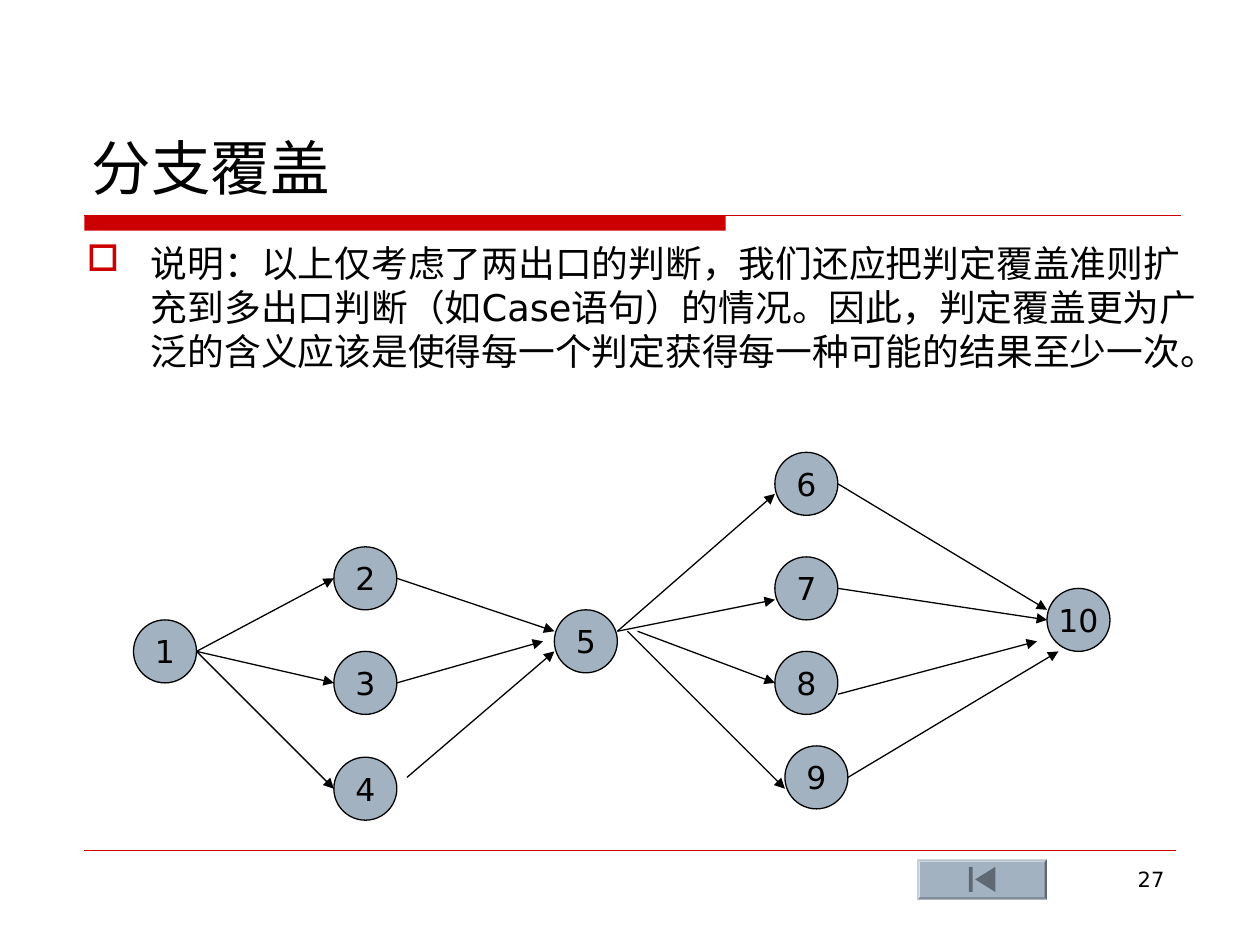
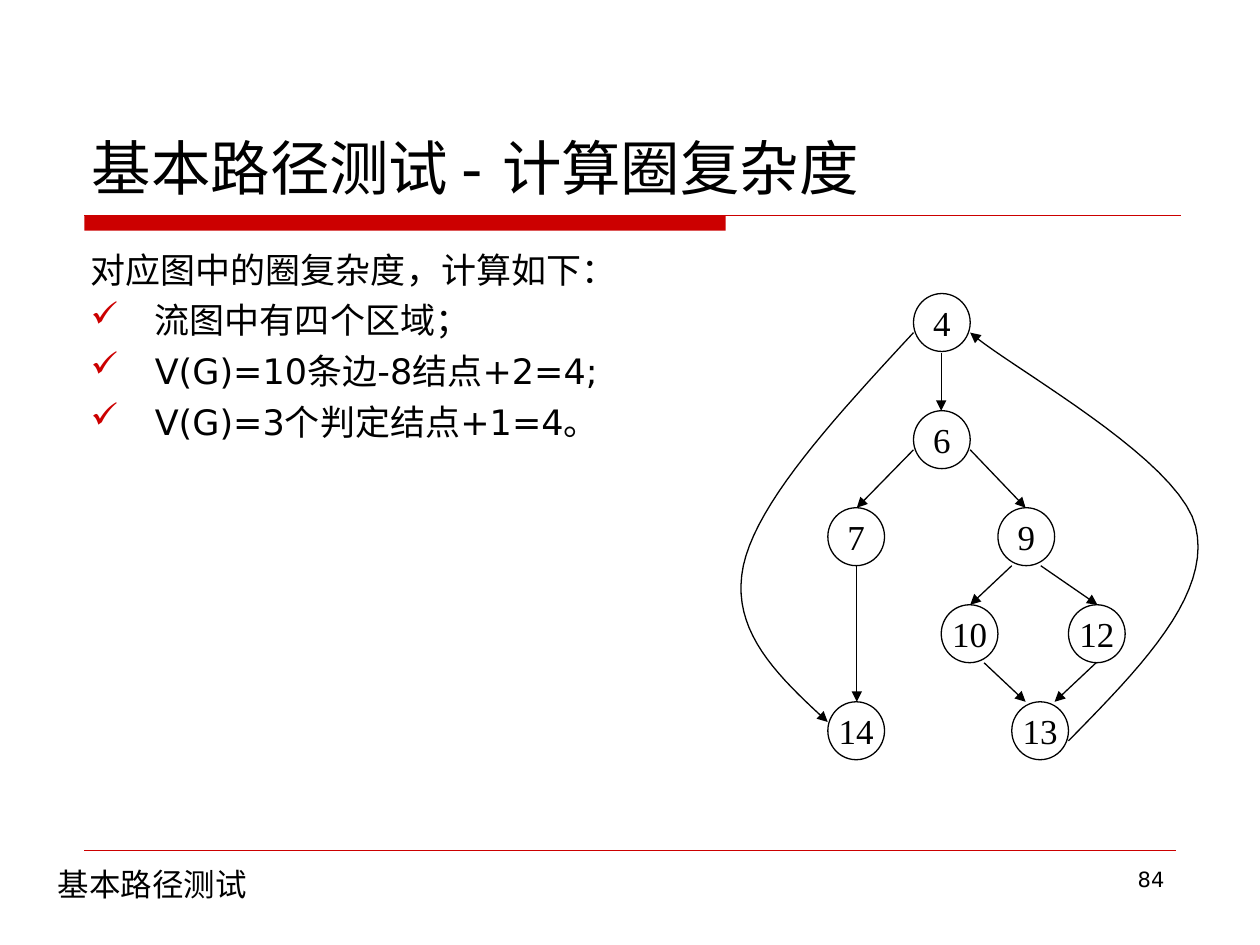
from dataclasses import dataclass

from lxml import etree
from pptx import Presentation
from pptx import util as u
from pptx.dml.color import RGBColor
from pptx.enum import shapes, text
from pptx.oxml.ns import qn


@dataclass(frozen=True)
class Theme:
    accent: str = "CC0000"
    ink: str = "000000"
    node: str = "A3B2C1"
    glyph: str = "5E6974"
    sans: str = "DejaVu Sans"
    serif: str = "Times New Roman"
    title: int = 34
    statement: int = 21
    body: int = 20
    label: int = 18
    number: int = 12
    stroke: float = 0.75
    hairline: float = 0.25


THEME = Theme()
INDENT = 0.51


def add_bullet(paragraph, symbol):
    properties = paragraph._p.get_or_add_pPr()
    color = etree.SubElement(properties, qn("a:buClr"))
    etree.SubElement(color, qn("a:srgbClr"), val=THEME.accent)
    etree.SubElement(properties, qn("a:buChar"), char=symbol)


def write_text(paragraph, content, *, size, font=THEME.sans, align=None,
               bullet=None, indent=0, before=0, after=0):
    if indent:
        properties = paragraph._p.get_or_add_pPr()
        properties.set("marL", str(u.Inches(indent)))
        properties.set("indent", str(-u.Inches(indent)))
    if bullet:
        add_bullet(paragraph, bullet)
    paragraph.alignment = align
    paragraph.space_before = u.Pt(before)
    paragraph.space_after = u.Pt(after)
    run = paragraph.add_run()
    run.text = content
    run.font.size = u.Pt(size)
    run.font.name = font
    run.font.color.rgb = RGBColor.from_string(THEME.ink)


def curve_points(start, control_a, control_b, end, steps=20):
    for step in range(steps + 1):
        t = step / steps
        weights = ((1 - t) ** 3, 3 * t * (1 - t) ** 2, 3 * t * t * (1 - t), t ** 3)
        corners = (start, control_a, control_b, end)
        yield tuple(sum(w * corner[axis] for w, corner in zip(weights, corners))
                    for axis in (0, 1))


class SlideBuilder:
    def __init__(self, presentation, theme):
        self.presentation = presentation
        self.theme = theme
        self.slide = None

    def start(self, title, number):
        self.slide = self.presentation.slides.add_slide(
            self.presentation.slide_layouts[6])
        accent = self.theme.accent
        self.shape(shapes.MSO_SHAPE.RECTANGLE, 0.67, 1.71, 5.09, 0.12, fill=accent)
        self.line((0.67, 1.71), (9.37, 1.71), color=accent)
        self.line((0.67, 6.75), (9.33, 6.75), color=accent, width=self.theme.hairline)
        self.text_box(0.63, 0.33, 8.75, 1.33, [(title, {})], size=self.theme.title,
                      anchor=text.MSO_ANCHOR.BOTTOM)
        self.text_box(7.17, 6.83, 2.17, 0.52, [(number, {})], size=self.theme.number,
                      align=text.PP_ALIGN.RIGHT)

    def text_box(self, left, top, width, height, paragraphs,
                 anchor=text.MSO_ANCHOR.TOP, **style):
        box = self.slide.shapes.add_textbox(
            *map(u.Inches, (left, top, width, height)))
        frame = box.text_frame
        frame.word_wrap = True
        frame.vertical_anchor = anchor
        for index, (content, extra) in enumerate(paragraphs):
            paragraph = frame.add_paragraph() if index else frame.paragraphs[0]
            write_text(paragraph, content, **{**style, **extra})

    def paint(self, shape, fill=None, outline=None):
        shape.shadow.inherit = False
        if fill:
            shape.fill.solid()
            shape.fill.fore_color.rgb = RGBColor.from_string(fill)
        else:
            shape.fill.background()
        if outline:
            self.stroke(shape, outline, self.theme.stroke)
        else:
            shape.line.fill.background()

    def stroke(self, shape, color, width, arrow=False):
        shape.line.color.rgb = RGBColor.from_string(color)
        shape.line.width = u.Pt(width)
        if arrow:
            outline = shape.element.spPr.find(qn("a:ln"))
            etree.SubElement(outline, qn("a:tailEnd"), type="triangle")

    def shape(self, kind, left, top, width, height, fill=None, outline=None):
        shape = self.slide.shapes.add_shape(
            kind, *map(u.Inches, (left, top, width, height)))
        self.paint(shape, fill, outline)
        return shape

    def node(self, label, left, top, width, height, fill=None, **style):
        circle = self.shape(shapes.MSO_SHAPE.OVAL, left, top, width, height,
                            fill, self.theme.ink)
        frame = circle.text_frame
        frame.margin_left = frame.margin_right = 0
        frame.margin_top = frame.margin_bottom = 0
        frame.word_wrap = False
        frame.vertical_anchor = text.MSO_ANCHOR.MIDDLE
        write_text(frame.paragraphs[0], label, align=text.PP_ALIGN.CENTER, **style)

    def line(self, start, end, color=None, width=None, arrow=False):
        connector = self.slide.shapes.add_connector(
            shapes.MSO_CONNECTOR.STRAIGHT, *map(u.Inches, (*start, *end)))
        self.stroke(connector, color or self.theme.ink,
                    width or self.theme.stroke, arrow)
        etree.SubElement(connector.element.spPr, qn("a:effectLst"))

    def arrows(self, source, *targets):
        for target in targets:
            self.line(source, target, arrow=True)

    def outline(self, points, closed):
        first, *rest = [tuple(map(u.Inches, point)) for point in points]
        builder = self.slide.shapes.build_freeform(*first)
        builder.add_line_segments(rest, close=closed)
        return builder.convert_to_shape()

    def curved_arrow(self, *segments):
        points = list(curve_points(*segments[0]))
        for segment in segments[1:]:
            points += list(curve_points(*segment))[1:]
        curve = self.outline(points, closed=False)
        self.paint(curve)
        self.stroke(curve, self.theme.ink, self.theme.stroke, arrow=True)

    def return_button(self):
        button = self.shape(shapes.MSO_SHAPE.BEVEL, 7.28, 6.82, 1.03, 0.32,
                            self.theme.node)
        button.adjustments[0] = 0.06
        triangle = self.outline([(7.74, 6.98), (7.9, 6.88), (7.9, 7.08)], closed=True)
        self.paint(triangle, self.theme.glyph)
        self.shape(shapes.MSO_SHAPE.RECTANGLE, 7.69, 6.88, 0.03, 0.2, self.theme.glyph)


def build_branch_coverage(builder):
    theme = builder.theme
    builder.start("分支覆盖", "27")
    nodes = {"1": (1.06, 4.92), "2": (2.65, 4.34), "3": (2.65, 5.17),
             "4": (2.65, 6.01), "5": (4.4, 4.84), "6": (6.15, 3.59),
             "7": (6.15, 4.42), "8": (6.15, 5.17), "9": (6.23, 5.92),
             "10": (8.31, 4.67)}
    for label, (left, top) in nodes.items():
        builder.node(label, left, top, 0.5, 0.5, theme.node, size=theme.label)
    builder.arrows((1.56, 5.17), (2.65, 4.59), (2.65, 5.42), (2.65, 6.26))
    builder.arrows((4.9, 5.01), (6.15, 3.92), (6.15, 4.76))
    for start, end in [
        ((3.15, 4.59), (4.4, 5.01)), ((3.15, 5.42), (4.31, 5.09)),
        ((3.23, 6.17), (4.4, 5.17)), ((5.06, 5.01), (6.15, 5.42)),
        ((4.98, 5.01), (6.23, 6.26)), ((6.65, 3.84), (8.31, 4.84)),
        ((6.65, 4.67), (8.31, 4.92)), ((6.65, 5.51), (8.23, 5.09)),
        ((6.73, 6.17), (8.4, 5.17)),
    ]:
        builder.arrows(start, end)
    statement = ("说明：以上仅考虑了两出口的判断，我们还应把判定覆盖准则扩充到多出口判断"
                 "（如Case语句）的情况。因此，判定覆盖更为广泛的含义应该是使得每一个判定"
                 "获得每一种可能的结果至少一次。")
    builder.text_box(0.59, 1.86, 9.14, 4.88, [(statement, {"bullet": "□"})],
                     size=theme.statement, indent=INDENT, after=6)
    builder.return_button()


def build_cyclomatic_complexity(builder):
    theme = builder.theme
    builder.start("基本路径测试 - 计算圈复杂度", "84")
    results = ["流图中有四个区域；", "V(G)=10条边-8结点+2=4;", "V(G)=3个判定结点+1=4。"]
    builder.text_box(0.62, 1.92, 4.85, 4.67,
                     [("对应图中的圈复杂度，计算如下：", {})]
                     + [(result, {"bullet": "✓", "before": 5}) for result in results],
                     size=theme.body, indent=INDENT)
    builder.text_box(0.36, 6.82, 1.9, 0.4, [("基本路径测试", {})], size=theme.label)
    nodes = {"4": (7.25, 2.33), "6": (7.25, 3.26), "7": (6.57, 4.03),
             "9": (7.92, 4.03), "10": (7.47, 4.8), "12": (8.48, 4.8),
             "13": (8.03, 5.57), "14": (6.57, 5.57)}
    for label, (left, top) in nodes.items():
        builder.node(label, left, top, 0.45, 0.46, size=theme.body, font=theme.serif)
    for start, end in [
        ((7.47, 2.8), (7.47, 3.26)), ((7.25, 3.57), (6.8, 4.03)),
        ((7.7, 3.57), (8.14, 4.03)), ((8.03, 4.49), (7.7, 4.8)),
        ((8.26, 4.49), (8.71, 4.8)), ((7.81, 5.26), (8.14, 5.57)),
        ((8.7, 5.26), (8.37, 5.57)), ((6.8, 4.49), (6.8, 5.57)),
    ]:
        builder.arrows(start, end)
    builder.curved_arrow(((7.25, 2.64), (6.63, 3.31), (6.01, 3.98), (5.9, 4.49)),
                         ((5.9, 4.49), (5.79, 5.01), (6.18, 5.37), (6.57, 5.73)))
    builder.curved_arrow(((8.48, 5.88), (9.05, 5.3), (9.62, 4.72), (9.49, 4.18)),
                         ((9.49, 4.18), (9.36, 3.64), (7.99, 2.9), (7.7, 2.64)))


def main():
    presentation = Presentation()
    presentation.slide_width = u.Inches(10)
    presentation.slide_height = u.Inches(7.5)
    builder = SlideBuilder(presentation, THEME)
    build_branch_coverage(builder)
    build_cyclomatic_complexity(builder)
    presentation.save("out.pptx")


if __name__ == "__main__":
    main()
